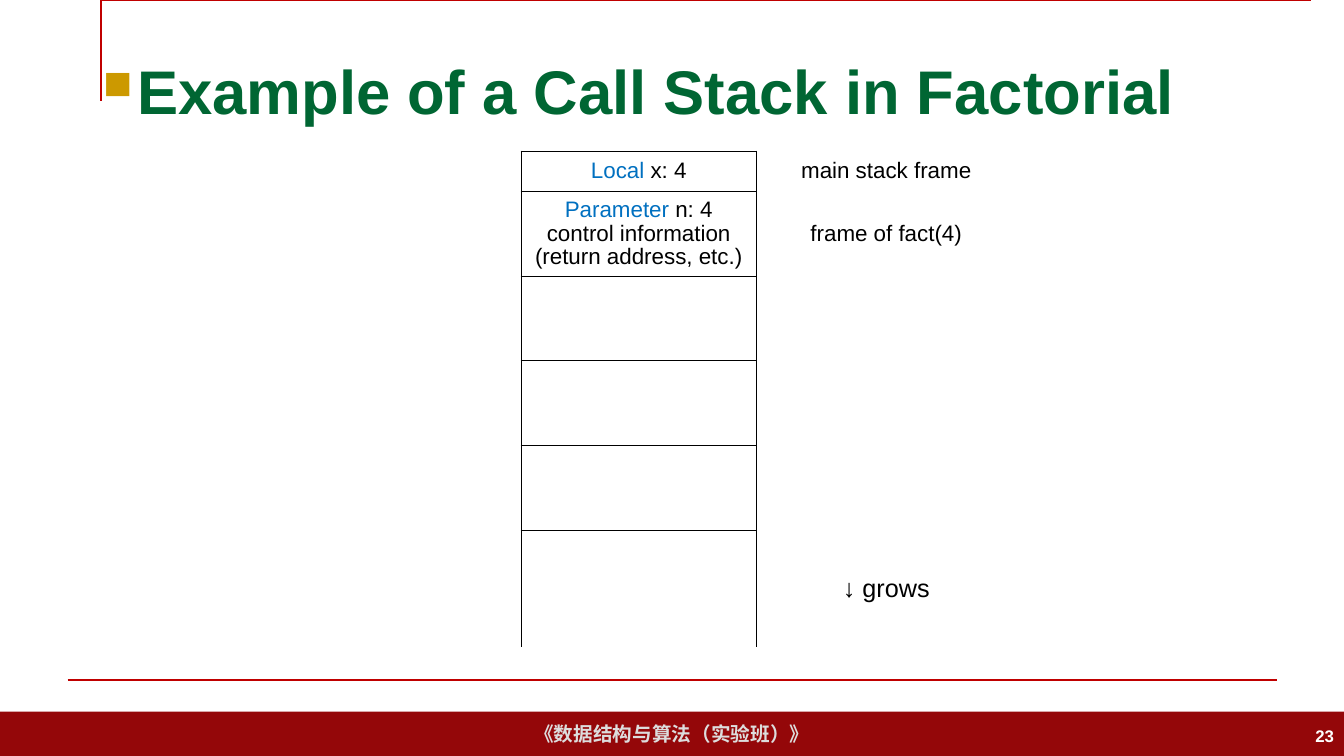
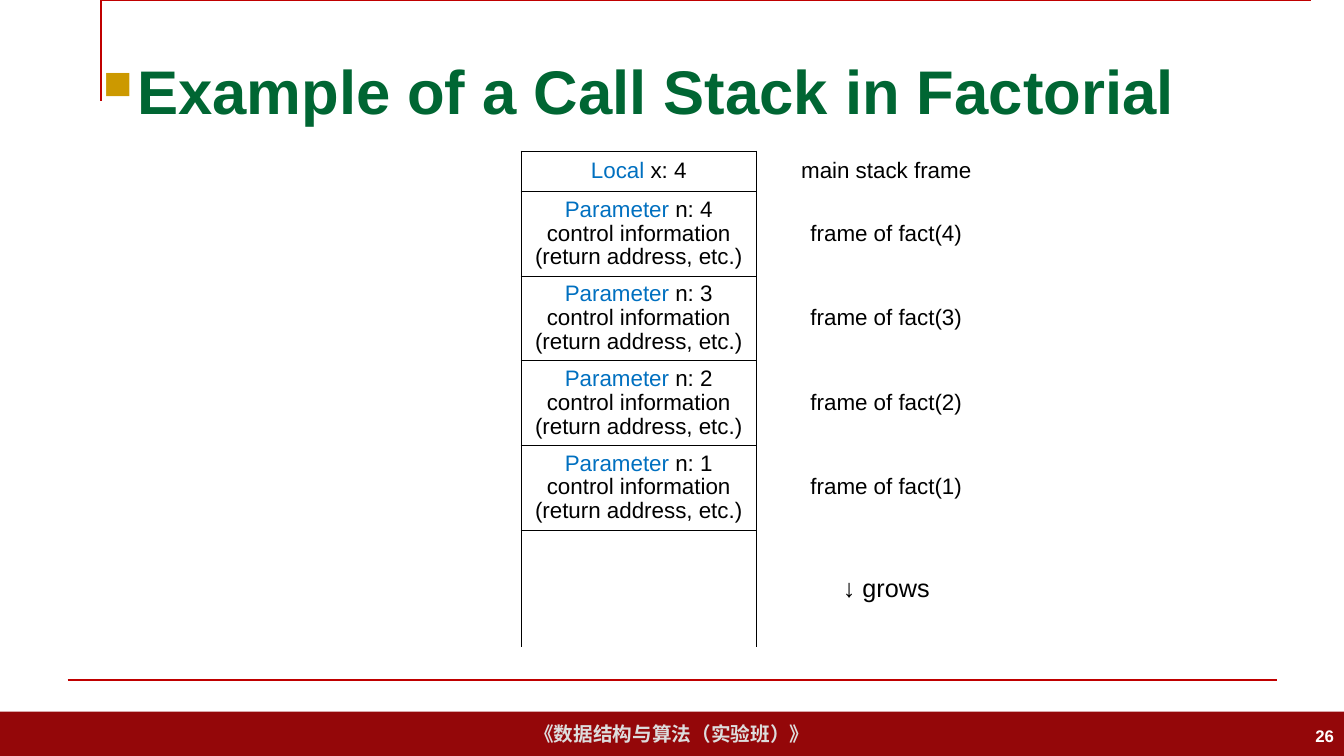
from lxml import etree
from pptx import Presentation, util as u
from pptx.dml.color import RGBColor
from pptx.enum import shapes, text
from pptx.oxml.ns import qn

# Content
TITLE = "Example of a Call Stack in Factorial"
COURSE = "《数据结构与算法（实验班）》"
DETAILS = ["control information", "(return address, etc.)"]
GROWS = "↓ grows"
FIRST_CALL = 4
SLIDES = [  # page number, arguments of the calls on the stack
    ("23", [4]),
    ("26", [4, 3, 2, 1]),
]

# Look
COLORS = {"band": "940709", "rule": "C00000", "title": "006633", "bullet": "CC9900",
          "keyword": "0070C0", "text": "000000", "course": "DDDDDD", "page": "FFFFFF"}
FONT = "Arial"
WIDTH, HEIGHT = 13.33, 7.5
BAND_HEIGHT = 0.44
RULE_LENGTH = 12
TABLE_LEFT, TABLE_TOP = 5.17, 1.5
COLUMNS = [2.33, 2.58]
ROWS = [0.4] + [0.84] * FIRST_CALL + [0.4, 0.75]
BORDERS = {"L": "lnL", "R": "lnR", "T": "lnT", "B": "lnB"}


def color(name):
    return RGBColor.from_string(COLORS[name])


def inches(*lengths):
    return [u.Inches(length) for length in lengths]


def set_font(font, size, name, bold=False):
    font.name, font.size, font.bold = FONT, u.Pt(size), bold
    font.color.rgb = color(name)


def set_rule(line):
    line.color.rgb = color("rule")
    line.width = u.Pt(1.5)


def add_frame(slide, layout):
    """Draw the band and rules, then move them to the shared layout."""
    for placeholder in list(layout.placeholders):
        if placeholder.placeholder_format.type != shapes.PP_PLACEHOLDER.TITLE:
            layout.shapes.element.remove(placeholder.element)

    band = slide.shapes.add_shape(
        shapes.MSO_SHAPE.RECTANGLE,
        *inches(0, HEIGHT - BAND_HEIGHT, WIDTH, BAND_HEIGHT))
    band.shadow.inherit = False
    band.fill.solid()
    band.fill.fore_color.rgb = color("band")
    band.line.fill.background()
    frame = band.text_frame
    frame.text, frame.word_wrap = COURSE, False
    frame.vertical_anchor = text.MSO_ANCHOR.MIDDLE
    frame.paragraphs[0].alignment = text.PP_ALIGN.CENTER
    set_font(frame.paragraphs[0].font, 14, "course", True)

    builder = slide.shapes.build_freeform(0.56, 0.92, scale=u.Inches(1))
    builder.add_line_segments([(0.56, 0.25), (0.56 + RULE_LENGTH, 0.25)], close=False)
    corner = builder.convert_to_shape()
    corner.shadow.inherit = False
    corner.fill.background()
    set_rule(corner.line)

    rule = slide.shapes.add_connector(
        shapes.MSO_CONNECTOR.STRAIGHT, *inches(0.67, 6.75, 0.67 + RULE_LENGTH, 6.75))
    set_rule(rule.line)
    etree.SubElement(rule.element.spPr, qn("a:effectLst"))

    for shape in (band, corner, rule):
        layout.shapes.element.append(shape.element)


def add_title(slide):
    title = slide.shapes.title
    title.left, title.top, title.width, title.height = inches(0.92, 0.4, 11.5, 0.99)
    title.text_frame.text = TITLE
    title.text_frame.vertical_anchor = text.MSO_ANCHOR.MIDDLE
    paragraph = title.text_frame.paragraphs[0]
    paragraph.alignment = text.PP_ALIGN.LEFT
    set_font(paragraph.font, 44, "title", True)
    # Square bullet
    properties = paragraph._p.get_or_add_pPr()
    indent = u.Inches(0.34)
    properties.set("marL", str(indent))
    properties.set("indent", str(-indent))
    bullet = [etree.Element(qn("a:" + tag)) for tag in ("buClr", "buSzPct", "buFont", "buChar")]
    etree.SubElement(bullet[0], qn("a:srgbClr"), val=COLORS["bullet"])
    bullet[1].set("val", "65000")
    bullet[2].set("typeface", "Wingdings")
    bullet[2].set("charset", "2")
    bullet[3].set("char", "n")
    for position, element in enumerate(bullet):
        properties.insert(position, element)


def set_borders(cell, visible):
    properties = cell._tc.get_or_add_tcPr()
    for position, (side, tag) in enumerate(BORDERS.items()):
        line = etree.Element(qn("a:" + tag), w=str(u.Pt(1)))
        if side in visible:
            fill = etree.SubElement(line, qn("a:solidFill"))
            etree.SubElement(fill, qn("a:srgbClr"), val=COLORS["text"])
        else:
            etree.SubElement(line, qn("a:noFill"))
        properties.insert(position, line)


def write_cell(cell, lines, size=16):
    """Each line is a list of (text, colour name) runs."""
    frame = cell.text_frame
    for index, runs in enumerate(lines):
        paragraph = frame.add_paragraph() if index else frame.paragraphs[0]
        paragraph.alignment = text.PP_ALIGN.CENTER
        paragraph.line_spacing = 0.96
        for words, name in runs:
            run = paragraph.add_run()
            run.text = words
            set_font(run.font, size, name)


def add_stack(slide, calls):
    table = slide.shapes.add_table(
        len(ROWS), len(COLUMNS),
        *inches(TABLE_LEFT, TABLE_TOP, sum(COLUMNS), sum(ROWS))).table
    table.first_row = table.horz_banding = False
    for column, width in zip(table.columns, COLUMNS):
        column.width = u.Inches(width)
    for row, height in zip(table.rows, ROWS):
        row.height = u.Inches(height)

    # Boxes for the frames, open below the last call
    last = len(ROWS) - 1
    sides = ["LRTB"] * (FIRST_CALL + 1) + ["LRT", "LR"]
    for index, visible in enumerate(sides):
        for column, borders in enumerate((visible, "L" if "L" in visible else "")):
            cell = table.cell(index, column)
            cell.fill.background()
            cell.vertical_anchor = text.MSO_ANCHOR.MIDDLE
            set_borders(cell, borders)

    # Frame contents and their labels
    stack = [("Local", " x: 4", [], "main stack frame")]
    stack += [("Parameter", f" n: {n}", DETAILS, f"frame of fact({n})") for n in calls]
    for index, (keyword, value, details, label) in enumerate(stack):
        lines = [[(keyword, "keyword"), (value, "text")]]
        lines += [[(detail, "text")] for detail in details]
        write_cell(table.cell(index, 0), lines)
        write_cell(table.cell(index, 1), [[(label, "text")]])
    table.cell(last, 1).vertical_anchor = text.MSO_ANCHOR.TOP
    write_cell(table.cell(last, 1), [[(GROWS, "text")]], 18)


def add_page_number(slide, number):
    box = slide.shapes.add_textbox(*inches(WIDTH - 3, 7.1, 3, 0.4))
    frame = box.text_frame
    frame.text, frame.word_wrap = number, True
    frame.vertical_anchor = text.MSO_ANCHOR.MIDDLE
    frame.paragraphs[0].alignment = text.PP_ALIGN.RIGHT
    set_font(frame.paragraphs[0].font, 12, "page", True)


def main():
    presentation = Presentation()
    presentation.slide_width, presentation.slide_height = inches(WIDTH, HEIGHT)
    layout = presentation.slide_layouts.get_by_name("Title Only")
    for index, (number, calls) in enumerate(SLIDES):
        slide = presentation.slides.add_slide(layout)
        if index == 0:
            add_frame(slide, layout)
        add_title(slide)
        add_stack(slide, calls)
        add_page_number(slide, number)
    presentation.save("out.pptx")


if __name__ == "__main__":
    main()
